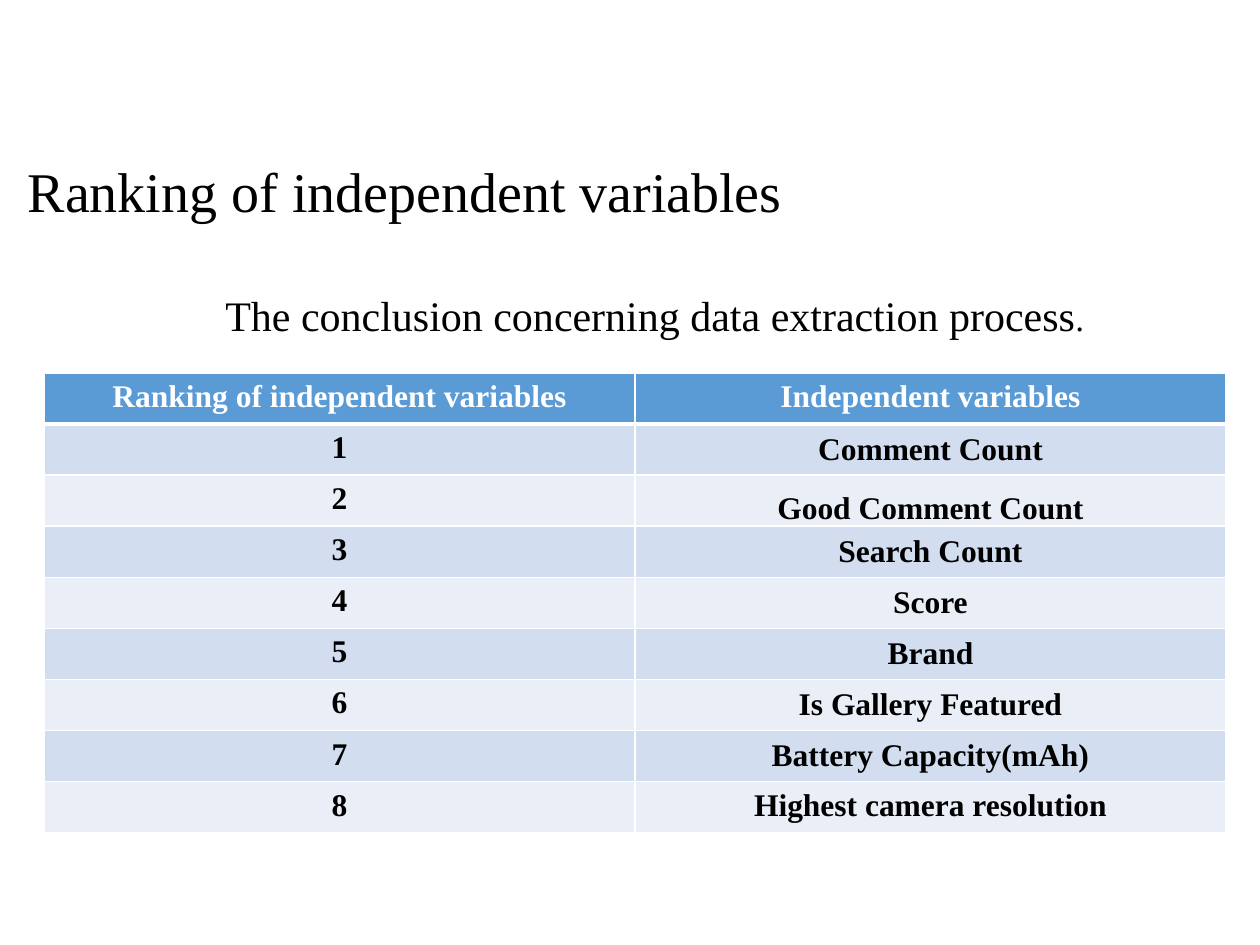
from lxml.etree import SubElement
from pptx import Presentation
from pptx.dml.color import RGBColor
from pptx.enum.text import MSO_ANCHOR, MSO_AUTO_SIZE, PP_ALIGN
from pptx.oxml.ns import qn
from pptx.util import Inches, Pt

COLORS = {
    "text": "000000",
    "white": "FFFFFF",
    "header": "5B9BD5",
    "odd": "D2DEEF",
    "even": "EAEFF7",
}
VARIABLES = [
    "Comment Count", "Good Comment Count", "Search Count", "Score", "Brand",
    "Is Gallery Featured", "Battery Capacity(mAh)", "Highest camera resolution",
]
HEADER = ("Ranking of independent variables", "Independent variables")


def apply_format(target, values):
    for name, value in values.items():
        setattr(target, name, value)


class SlideBuilder:
    font_name = "Times New Roman"

    def __init__(self, slide):
        self.slide = slide

    def add_run(self, paragraph, text, size, color="text", bold=False):
        run = paragraph.add_run()
        run.text = text
        apply_format(run.font, {"name": self.font_name, "size": Pt(size), "bold": bold})
        run.font.color.rgb = RGBColor.from_string(COLORS[color])

    def set_title(self, text, left, top, width, height):
        title = self.slide.shapes.title
        apply_format(title, {
            "left": Inches(left), "top": Inches(top),
            "width": Inches(width), "height": Inches(height),
        })
        apply_format(title.text_frame, {
            "auto_size": MSO_AUTO_SIZE.NONE,
            "vertical_anchor": MSO_ANCHOR.MIDDLE,
            "word_wrap": True,
        })
        paragraph = title.text_frame.paragraphs[0]
        apply_format(paragraph, {"alignment": PP_ALIGN.LEFT, "line_spacing": 0.9})
        self.add_run(paragraph, text, 32)

    def add_text(self, runs, left, top, width, height):
        box = self.slide.shapes.add_textbox(*map(Inches, (left, top, width, height)))
        apply_format(box.text_frame, {
            "word_wrap": True, "auto_size": MSO_AUTO_SIZE.SHAPE_TO_FIT_TEXT,
        })
        for text, size in runs:
            self.add_run(box.text_frame.paragraphs[0], text, size)

    def set_borders(self, cell, widths):
        properties = cell._tc.get_or_add_tcPr()
        for side in ("L", "R", "T", "B"):
            line = SubElement(properties, qn(f"a:ln{side}"), w=str(Pt(widths.get(side, 1))))
            fill = SubElement(line, qn("a:solidFill"))
            SubElement(fill, qn("a:srgbClr"), val=COLORS["white"])

    def fill_cell(self, cell, text, fill, color, borders, cell_format):
        self.set_borders(cell, borders)
        cell.fill.solid()
        cell.fill.fore_color.rgb = RGBColor.from_string(COLORS[fill])
        apply_format(cell, cell_format)
        paragraph = cell.text_frame.paragraphs[0]
        paragraph.alignment = PP_ALIGN.CENTER
        self.add_run(paragraph, text, 18, color, bold=True)

    def add_ranking_table(self, header, names, left, top, width, height):
        rows = [header] + [(str(rank), name) for rank, name in enumerate(names, 1)]
        table = self.slide.shapes.add_table(
            len(rows), len(header), *map(Inches, (left, top, width, height))
        ).table
        tight = {
            "margin_left": Inches(0.07), "margin_right": Inches(0.07),
            "margin_top": 0, "margin_bottom": 0,
        }
        # The thick rule lies between the header and the first rank
        rules = {0: {"B": 3}, 1: {"T": 3}}
        for row, texts in enumerate(rows):
            fill = "header" if row == 0 else "odd" if row % 2 else "even"
            color = "white" if row == 0 else "text"
            for column, text in enumerate(texts):
                cell_format = {}
                if column == 1 and 0 < row < len(names):
                    anchor = MSO_ANCHOR.BOTTOM if row == 2 else MSO_ANCHOR.MIDDLE
                    cell_format = {**tight, "vertical_anchor": anchor}
                self.fill_cell(table.cell(row, column), text, fill, color,
                               rules.get(row, {}), cell_format)


def main():
    presentation = Presentation()
    apply_format(presentation, {"slide_width": Inches(10), "slide_height": Inches(7.5)})
    builder = SlideBuilder(presentation.slides.add_slide(presentation.slide_layouts[5]))

    # Title
    builder.set_title("Ranking of independent variables", 0.12, 0.92, 9, 1.25)

    # Ranking table
    builder.add_ranking_table(HEADER, VARIABLES, 0.35, 2.96, 9.38, 3.65)

    # Introductory sentence
    builder.add_text(
        [("The conclusion concerning data extraction process", 24), (".", 20)],
        1.69, 2.25, 7.56, 0.5,
    )

    presentation.save("out.pptx")


if __name__ == "__main__":
    main()
